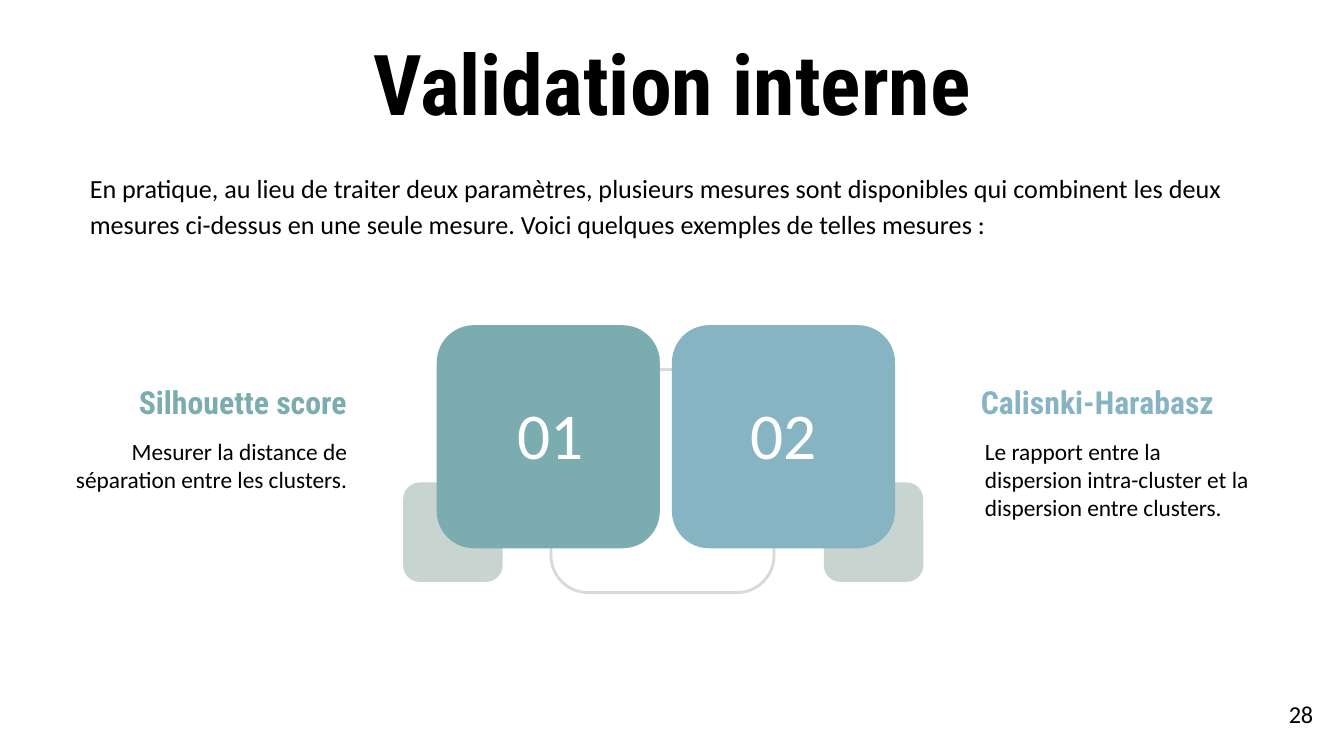
import pptx
import pptx.dml.color
import pptx.enum.shapes
import pptx.enum.text
import pptx.util

RGBColor = pptx.dml.color.RGBColor
ALIGN = pptx.enum.text.PP_ALIGN

BLACK = RGBColor(0x00, 0x00, 0x00)
WHITE = RGBColor(0xFF, 0xFF, 0xFF)
GREY = RGBColor(0xD9, 0xD9, 0xD9)
SAGE = RGBColor(0xC7, 0xD4, 0xCF)
TEAL = RGBColor(0x7B, 0xAC, 0xB0)
BLUE = RGBColor(0x86, 0xB4, 0xC2)

BODY_FONT = "Calibri"
HEADING_FONT = "Roboto Condensed"

# A 16:9 slide, on a grid of square cells, 100 to its width
SLIDE_WIDTH = pptx.util.Inches(10)
SLIDE_HEIGHT = pptx.util.Emu(SLIDE_WIDTH * 9 // 16)
CELL = SLIDE_WIDTH / 100
INSET = 1
TILE = 16.6
ACCENT = 7.4
TEXT_WIDTH = 22.4


def grid(*cells):
    return [pptx.util.Emu(round(cell * CELL)) for cell in cells]


def write_text(shape, text, *, size, font=BODY_FONT, color=BLACK, bold=False,
               align=ALIGN.LEFT, line_spacing=None):
    frame = shape.text_frame
    frame.word_wrap = True
    frame.auto_size = pptx.enum.text.MSO_AUTO_SIZE.NONE
    frame.vertical_anchor = pptx.enum.text.MSO_ANCHOR.TOP
    inset, = grid(INSET)
    frame.margin_left = frame.margin_right = inset
    frame.margin_top = frame.margin_bottom = inset
    frame.text = text
    paragraph = frame.paragraphs[0]
    paragraph.alignment = align
    paragraph.line_spacing = line_spacing
    paragraph.font.size = pptx.util.Pt(size)
    paragraph.font.name = font
    paragraph.font.bold = bold
    paragraph.font.color.rgb = color


def add_text(slide, box, text, **text_format):
    write_text(slide.shapes.add_textbox(*grid(*box)), text, **text_format)


def add_rounded_square(slide, left, top, side, fill=None, line=None):
    shape = slide.shapes.add_shape(
        pptx.enum.shapes.MSO_SHAPE.ROUNDED_RECTANGLE,
        *grid(left, top, side, side))
    shape.shadow.inherit = False
    if fill is None:
        shape.fill.background()
    else:
        shape.fill.solid()
        shape.fill.fore_color.rgb = fill
    if line is None:
        shape.line.fill.background()
    else:
        shape.line.color.rgb = line
        shape.line.width = pptx.util.Pt(1.5)


def add_title(slide, box, text):
    title = slide.shapes.title
    title.left, title.top, title.width, title.height = grid(*box)
    write_text(title, text, size=45, font=HEADING_FONT, bold=True,
               align=ALIGN.CENTER)


def add_measure(slide, box, number, heading, description, color, text_on_left):
    """Numbered tile at the inner side of the box, its text at the outer side."""
    left, top, width, height = box
    if text_on_left:
        tile_left = left + width - TILE
        accent_left = tile_left - 2.5
        text_left = heading_left = left
        number_left = tile_left + 0.2
        align = ALIGN.RIGHT
    else:
        tile_left = number_left = left
        accent_left = left + TILE + 2.1 - ACCENT
        text_left = left + width - TEXT_WIDTH
        heading_left = text_left - 0.3
        align = ALIGN.LEFT

    # Tiles
    add_rounded_square(slide, accent_left, top + height - ACCENT, ACCENT, SAGE)
    add_rounded_square(slide, tile_left, top, TILE, color)
    add_text(slide, (number_left, top + 4.1, TILE, 4.3), number, size=35,
             color=WHITE, align=ALIGN.CENTER)

    # Heading and description
    add_text(slide, (heading_left, top + 3.3, TEXT_WIDTH, 3.9), heading,
             size=17, font=HEADING_FONT, color=color, bold=True, align=align)
    add_text(slide, (text_left, top + 7.3, TEXT_WIDTH, 5.7), description,
             size=12.5, align=align)


def main():
    presentation = pptx.Presentation()
    presentation.slide_width = SLIDE_WIDTH
    presentation.slide_height = SLIDE_HEIGHT
    title_only = presentation.slide_layouts.get_by_name("Title Only")
    slide = presentation.slides.add_slide(title_only)

    # Title and introduction
    add_title(slide, (25.3, 1.35, 49.4, 6.8), "Validation interne")
    add_text(slide, (5.7, 11.5, 88.6, 7.4),
             "En pratique, au lieu de traiter deux paramètres, plusieurs "
             "mesures sont disponibles qui combinent les deux mesures "
             "ci-dessus en une seule mesure. Voici quelques exemples de "
             "telles mesures :", size=14, line_spacing=1.15)

    # Outline behind the two measures
    add_rounded_square(slide, 41, 27.5, TILE, line=GREY)

    # Measures
    add_measure(slide, (4.4, 24.2, 44.7, 19.1), "01", "Silhouette score",
                "Mesurer la distance de séparation entre les clusters.",
                TEAL, text_on_left=True)
    add_measure(slide, (50, 24.2, 44.7, 19.1), "02", "Calisnki-Harabasz",
                "Le rapport entre la dispersion intra-cluster et la "
                "dispersion entre clusters.", BLUE, text_on_left=False)

    # Page number
    add_text(slide, (92.7, 51, 6, 4.3), "28", size=13, align=ALIGN.RIGHT)

    presentation.save("out.pptx")


if __name__ == "__main__":
    main()
